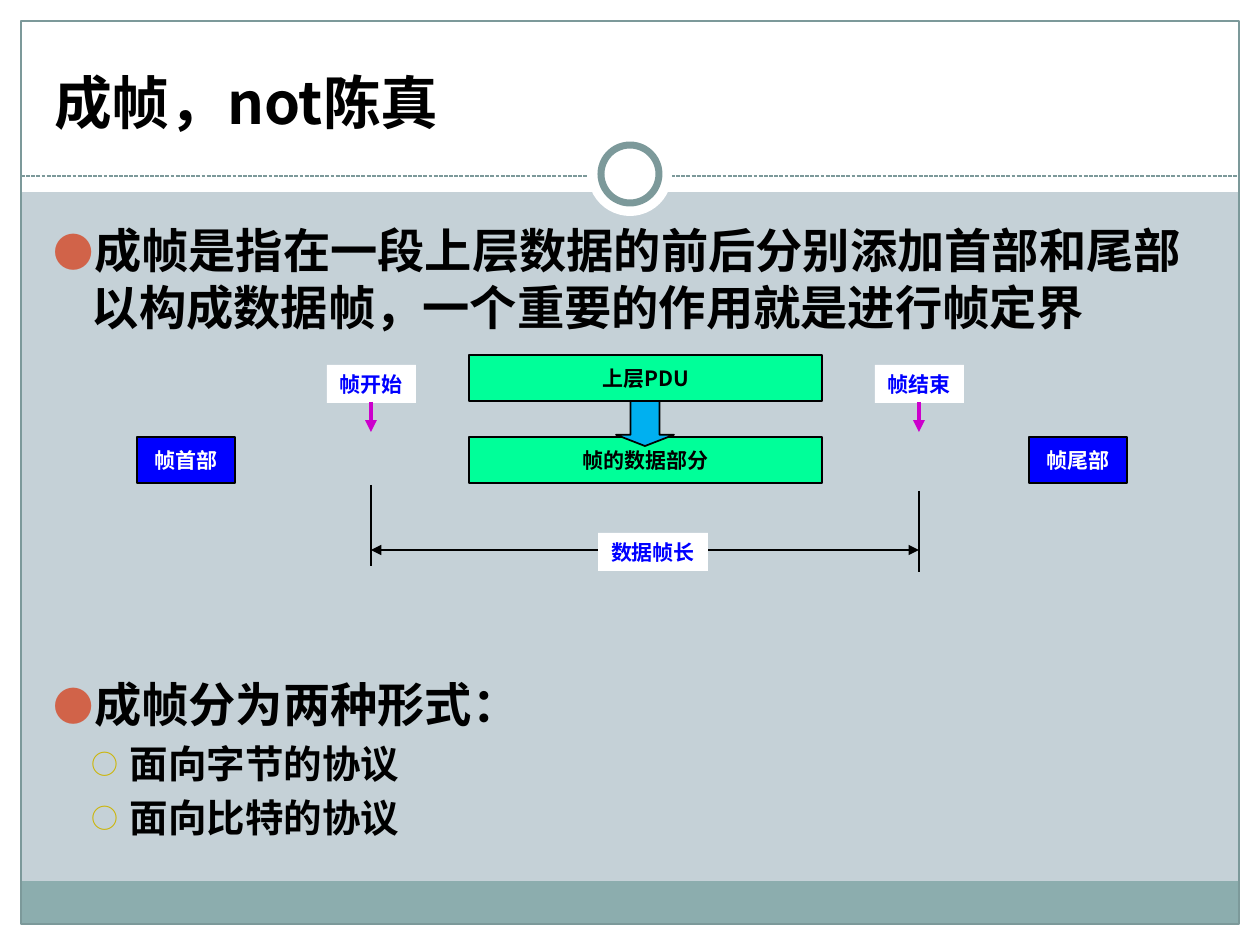
from lxml import etree
from pptx import Presentation
from pptx.dml.color import RGBColor
from pptx.enum.dml import MSO_LINE
from pptx.enum.shapes import MSO_CONNECTOR, MSO_SHAPE
from pptx.enum.text import MSO_ANCHOR, PP_ALIGN
from pptx.oxml.ns import qn
from pptx.util import Pt

EMU_PER_PX = 914400 / 126
WIDTH, HEIGHT = 1260, 945
FONT = "Noto Sans CJK SC"
RECT, OVAL, DOWN = MSO_SHAPE.RECTANGLE, MSO_SHAPE.OVAL, MSO_SHAPE.DOWN_ARROW
STRAIGHT = MSO_CONNECTOR.STRAIGHT
DASH = MSO_LINE.SQUARE_DOT
LEFT, CENTER = PP_ALIGN.LEFT, PP_ALIGN.CENTER
TOP, MIDDLE, BOTTOM = MSO_ANCHOR.TOP, MSO_ANCHOR.MIDDLE, MSO_ANCHOR.BOTTOM

BLACK, WHITE, BLUE = "000000", "FFFFFF", "0000FF"
GREEN, SKY, MAGENTA = "00FF99", "00B0F0", "CC00CC"
FRAME, FOOTER, BACKGROUND = "7C999A", "8CADAE", "C5D1D7"

# Per level: bullet, bullet colour, bullet size %, text size, line height in points
LEVELS = [
    ("●", "D16349", 85, 27, 32.6),
    ("○", "CCB400", 70, 22, 26.5),
]
INDENT = 38


def px(value):
    return round(value * EMU_PER_PX)


def color(value):
    return RGBColor.from_string(value)


def add_element(parent, tag, **attributes):
    return etree.SubElement(parent, qn(tag), attributes)


def add_box(slide, kind, box, fill=None, line=None, weight=1):
    shape = slide.shapes.add_shape(kind, *map(px, box))
    shape.shadow.inherit = False
    if fill:
        shape.fill.solid()
        shape.fill.fore_color.rgb = color(fill)
    else:
        shape.fill.background()
    if line:
        shape.line.color.rgb = color(line)
        shape.line.width = Pt(weight)
    else:
        shape.line.fill.background()
    return shape


def add_line(slide, start, end, line=BLACK, weight=1, dash=None, arrows=()):
    connector = slide.shapes.add_connector(STRAIGHT, *map(px, start + end))
    connector.line.color.rgb = color(line)
    connector.line.width = Pt(weight)
    if dash:
        connector.line.dash_style = dash
    for arrow in arrows:
        add_element(connector.line._get_or_add_ln(), arrow, type="triangle")
    add_element(connector._element.spPr, "a:effectLst")


def prepare_frame(shape, anchor=MIDDLE, margin=0, wrap=False):
    frame = shape.text_frame
    frame.word_wrap = wrap
    frame.vertical_anchor = anchor
    frame.margin_left = frame.margin_right = px(margin)
    frame.margin_top = frame.margin_bottom = 0
    return frame


def write(paragraph, text, size=12, fill=BLACK, align=CENTER):
    paragraph.alignment = align
    run = paragraph.add_run()
    run.text = text
    run.font.size = Pt(size)
    run.font.bold = True
    run.font.name = FONT
    run.font.color.rgb = color(fill)
    add_element(run._r.get_or_add_rPr(), "a:ea", typeface=FONT)


def add_label(slide, box, text, fill, text_color, line=None):
    shape = add_box(slide, RECT, box, fill, line)
    write(prepare_frame(shape).paragraphs[0], text, fill=text_color)


def add_bullet(paragraph, level):
    bullet, bullet_color, percent, _, _ = LEVELS[level]
    properties = paragraph._p.get_or_add_pPr()
    properties.set("marL", str(px(INDENT * (level + 1))))
    properties.set("indent", str(px(-INDENT)))
    fill = add_element(properties, "a:buClr")
    add_element(fill, "a:srgbClr", val=bullet_color)
    add_element(properties, "a:buSzPct", val=str(percent * 1000))
    add_element(properties, "a:buFont", typeface=FONT)
    add_element(properties, "a:buChar", char=bullet)


def draw_backdrop(slide, box):
    left, top, width, height = box
    margin, header = 21, 192
    slide.background.fill.solid()
    slide.background.fill.fore_color.rgb = color(BACKGROUND)
    # White margins and header, then the footer band
    right, bottom = left + width - margin, top + height - margin
    for band in [
        (left, bottom, width, margin),
        (left, top, width, header),
        (left, top, margin, height),
        (right, top, margin, height),
    ]:
        add_box(slide, RECT, band, WHITE)
    inner = width - 2 * margin
    add_box(slide, RECT, (left + margin, bottom - 43, inner, 43), FOOTER)
    add_box(slide, RECT, (left + margin, top + margin, inner, height - 2 * margin),
            line=FRAME, weight=0.75)
    # Dashed divider with a ring in the middle
    add_line(slide, (left + margin, top + 176), (right, top + 176), FRAME, 0.75, DASH)
    middle = left + width // 2
    for size, line in ((84, None), (58, FRAME)):
        ring = (middle - size // 2, top + 174 - size // 2, size, size)
        add_box(slide, OVAL, ring, WHITE, line, 4)


def draw_title(slide, box, text):
    shape = slide.shapes.add_textbox(*map(px, box))
    frame = prepare_frame(shape, BOTTOM, margin=12, wrap=True)
    write(frame.paragraphs[0], text, size=33, align=LEFT)


def draw_bullets(slide, box, items):
    shape = slide.shapes.add_textbox(*map(px, box))
    frame = prepare_frame(shape, TOP, margin=12, wrap=True)
    for index, (level, text) in enumerate(items):
        paragraph = frame.add_paragraph() if index else frame.paragraphs[0]
        _, _, _, size, line_height = LEVELS[level]
        add_bullet(paragraph, level)
        paragraph.line_spacing = Pt(line_height)
        paragraph.space_before = Pt(size * 0.2 if index else 0)
        write(paragraph, text, size=size, align=LEFT)


def draw_framing(slide, box):
    left, top, width, _ = box
    start, end = left + 234, left + 782
    # Header, data and trailer of the frame, with the upper PDU above
    for x, y, box_width, text, fill, text_color in [
        (0, 82, 98, "帧首部", BLUE, WHITE),
        (332, 0, 353, "上层PDU", GREEN, BLACK),
        (332, 82, 353, "帧的数据部分", GREEN, BLACK),
        (width - 98, 82, 98, "帧尾部", BLUE, WHITE),
    ]:
        add_label(slide, (left + x, top + y, box_width, 46), text, fill, text_color, BLACK)
    arrow = add_box(slide, DOWN, (left + 479, top + 46, 58, 45), SKY, BLACK)
    arrow.adjustments[0], arrow.adjustments[1] = 0.5, 0.25
    # Start and end marks
    for x, y, text in ((start, 130, "帧开始"), (end, 136, "帧结束")):
        add_label(slide, (x - 44, top + 10, 89, 38), text, WHITE, BLUE)
        add_line(slide, (x, top + 47), (x, top + 77), MAGENTA, 2.25, arrows=["a:tailEnd"])
        add_line(slide, (x, top + y), (x, top + y + 81), weight=0.75)
    # Frame length
    add_line(slide, (start, top + 195), (end, top + 195), arrows=["a:headEnd", "a:tailEnd"])
    add_label(slide, (left + 461, top + 178, 110, 38), "数据帧长", WHITE, BLUE)


def main():
    presentation = Presentation()
    presentation.slide_width, presentation.slide_height = px(WIDTH), px(HEIGHT)
    slide = presentation.slides.add_slide(presentation.slide_layouts[6])
    draw_backdrop(slide, (0, 0, WIDTH, HEIGHT))
    draw_title(slide, (42, 31, 1176, 105), "成帧，not陈真")
    draw_bullets(slide, (42, 221, 1172, 120), [
        (0, "成帧是指在一段上层数据的前后分别添加首部和尾部以构成数据帧，一个重要的作用就是进行帧定界"),
    ])
    draw_framing(slide, (137, 355, 990, 218))
    draw_bullets(slide, (42, 675, 1172, 165), [
        (0, "成帧分为两种形式："),
        (1, "面向字节的协议"),
        (1, "面向比特的协议"),
    ])
    presentation.save("out.pptx")


if __name__ == "__main__":
    main()
